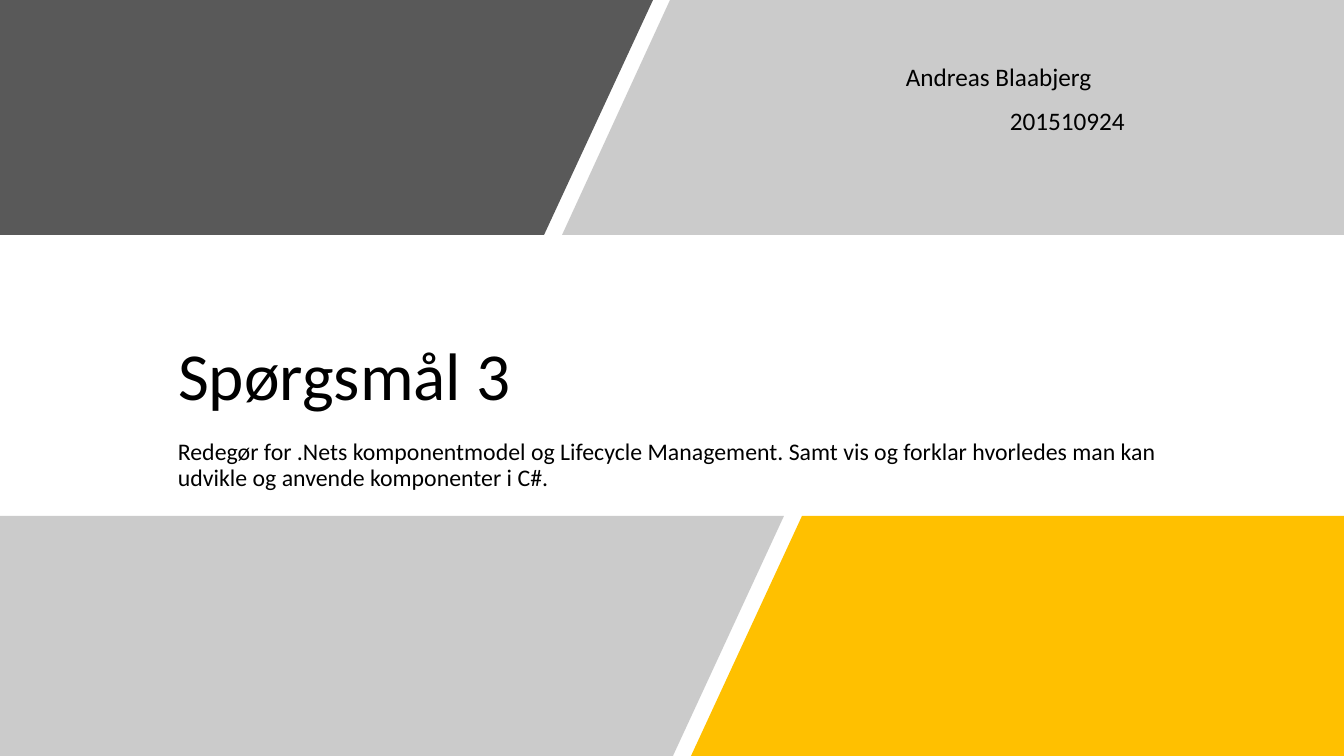
from lxml import etree
from pptx import Presentation, util as u
from pptx.dml.color import RGBColor
from pptx.enum import lang, text
from pptx.oxml.ns import qn

PIXEL = 914400 / 100.8
FONT = "Calibri"
COLORS = {"dark": "595959", "grey": "7F7F7F", "gold": "FFC000", "text": "000000"}
WIDTH, HEIGHT = 1344, 756
TOP_EDGE, BOTTOM_EDGE = 235, 516

TITLE = "Spørgsmål 3"
SUBTITLE = ("Redegør for .Nets komponentmodel og Lifecycle Management. "
            "Samt vis og forklar hvorledes man kan udvikle og anvende komponenter i C#.")
# text, box (left, top, width, height)
AUTHOR_LINES = [
    ("Andreas Blaabjerg", (896, 56, 208, 40)),
    ("201510924", (1000, 100, 136, 40)),
]
# colour, opacity in percent, top, bottom,
# x of the left side (top, bottom), x of the right side (top, bottom)
PANELS = [
    ("dark", 100, 0, TOP_EDGE, (0, 0), (653, 544)),
    ("grey", 40, 0, TOP_EDGE, (670, 562), (WIDTH, WIDTH)),
    ("gold", 100, BOTTOM_EDGE, HEIGHT, (802, 691), (WIDTH, WIDTH)),
    ("grey", 40, BOTTOM_EDGE, HEIGHT, (0, 0), (784, 673)),
]


def px(value):
    """Turn pixels into EMU."""
    return u.Emu(round(value * PIXEL))


def add_panel(slide, color, opacity, top, bottom, left, right):
    """Draw a borderless four-sided panel with slanted sides."""
    builder = slide.shapes.build_freeform(left[0], top, scale=PIXEL)
    builder.add_line_segments([(right[0], top), (right[1], bottom), (left[1], bottom)])
    shape = builder.convert_to_shape()
    shape.shadow.inherit = False
    shape.line.fill.background()
    shape.fill.solid()
    shape.fill.fore_color.rgb = RGBColor.from_string(COLORS[color])
    if opacity < 100:
        fill = shape.element.spPr.find(qn("a:solidFill"))
        etree.SubElement(fill[0], qn("a:alpha"), val=str(opacity * 1000))


def write(shape, words, size, wrap=True, anchor=text.MSO_ANCHOR.TOP):
    """Put one left-aligned Danish paragraph in a shape and return it."""
    frame = shape.text_frame
    frame.text = words
    frame.word_wrap = wrap
    frame.vertical_anchor = anchor
    paragraph = frame.paragraphs[0]
    paragraph.alignment = text.PP_ALIGN.LEFT
    paragraph.font.name = FONT
    paragraph.font.size = u.Pt(size)
    paragraph.font.color.rgb = RGBColor.from_string(COLORS["text"])
    paragraph.runs[0].font.language_id = lang.MSO_LANGUAGE_ID.DANISH
    return paragraph


presentation = Presentation()
presentation.slide_width, presentation.slide_height = px(WIDTH), px(HEIGHT)
slide = presentation.slides.add_slide(presentation.slide_layouts[5])

title = slide.shapes.title
title.left, title.top, title.width, title.height = map(px, (168, 248, 1008, 172))
write(title, TITLE, 48, anchor=text.MSO_ANCHOR.BOTTOM).line_spacing = 0.9

subtitle = slide.shapes.add_textbox(*map(px, (168, 435, 1008, 64)))
write(subtitle, SUBTITLE, 17).line_spacing = 0.9

for panel in PANELS:
    add_panel(slide, *panel)

for words, box in AUTHOR_LINES:
    label = slide.shapes.add_textbox(*map(px, box))
    write(label, words, 18, wrap=False)
    label.text_frame.auto_size = text.MSO_AUTO_SIZE.SHAPE_TO_FIT_TEXT

presentation.save("out.pptx")
